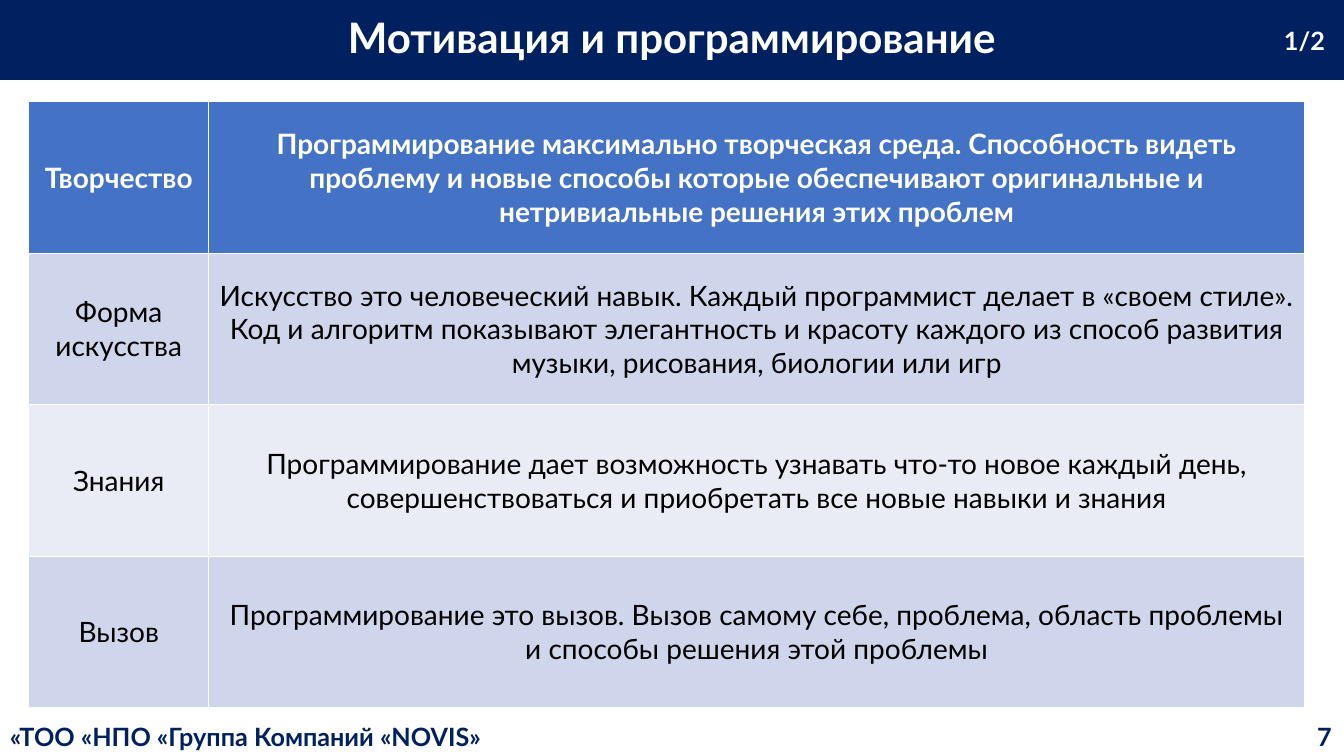
from pptx import Presentation
from pptx.dml.color import RGBColor
from pptx.enum.shapes import MSO_SHAPE
from pptx.enum.text import MSO_ANCHOR, MSO_AUTO_SIZE, PP_ALIGN
from pptx.util import Pt

NAVY, WHITE, BLACK = "002060", "FFFFFF", "000000"
HEADER, DARK_BAND, LIGHT_BAND = "4472C4", "CFD5EA", "E9EBF5"


def paint(fill, color):
    fill.solid()
    fill.fore_color.rgb = RGBColor.from_string(color)


def write(frame, text, size, color, bold=True, align=PP_ALIGN.CENTER):
    frame.text = text
    frame.word_wrap = True
    frame.vertical_anchor = MSO_ANCHOR.MIDDLE
    paragraph = frame.paragraphs[0]
    paragraph.alignment = align
    paragraph.font.name = "Lato"
    paragraph.font.size = Pt(size)
    paragraph.font.bold = bold
    paragraph.font.color.rgb = RGBColor.from_string(color)


presentation = Presentation()
presentation.slide_width = Pt(960)
presentation.slide_height = Pt(540)
slide = presentation.slides.add_slide(presentation.slide_layouts[5])

title = slide.shapes.title
title.left, title.top, title.width, title.height = Pt(0), Pt(0), Pt(960), Pt(57)
paint(title.fill, NAVY)
write(title.text_frame, "Мотивация и программирование", 30, WHITE)
title.text_frame.auto_size = MSO_AUTO_SIZE.NONE
title.text_frame.paragraphs[0].line_spacing = 0.9

reasons = [
    ("Творчество", "Программирование максимально творческая среда. Способность видеть "
     "проблему и новые способы которые обеспечивают оригинальные и "
     "нетривиальные решения этих проблем"),
    ("Форма искусства", "Искусство это человеческий навык. Каждый программист делает в "
     "«своем стиле». Код и алгоритм показывают элегантность и красоту каждого из "
     "способ развития музыки, рисования, биологии или игр"),
    ("Знания", "Программирование дает возможность узнавать что-то новое каждый день, "
     "совершенствоваться и приобретать все новые навыки и знания"),
    ("Вызов", "Программирование это вызов. Вызов самому себе, проблема, область "
     "проблемы и способы решения этой проблемы"),
]
table = slide.shapes.add_table(
    len(reasons), 2, Pt(20.5), Pt(72.7), Pt(911.5), Pt(432.8)).table
table.columns[0].width = Pt(128.7)
table.columns[1].width = Pt(782.8)
for row, reason in enumerate(reasons):
    is_header = row == 0
    band = HEADER if is_header else DARK_BAND if row % 2 else LIGHT_BAND
    for column, text in enumerate(reason):
        cell = table.cell(row, column)
        paint(cell.fill, band)
        write(cell.text_frame, text, 20, WHITE if is_header else BLACK, is_header)
        cell.vertical_anchor = MSO_ANCHOR.MIDDLE

labels = [
    ("1/2", 903.5, 0, 56.5, 57, NAVY, WHITE, PP_ALIGN.CENTER),
    ("7", 932, 512, 28, 28, WHITE, NAVY, PP_ALIGN.CENTER),
    ("«ТОО «НПО «Группа Компаний «NOVIS»", 0, 512, 932, 28, WHITE, NAVY, PP_ALIGN.LEFT),
]
for text, left, top, width, height, background, color, align in labels:
    label = slide.shapes.add_shape(
        MSO_SHAPE.RECTANGLE, Pt(left), Pt(top), Pt(width), Pt(height))
    label.shadow.inherit = False
    label.line.fill.background()
    paint(label.fill, background)
    write(label.text_frame, text, 18, color, align=align)

presentation.save("out.pptx")
